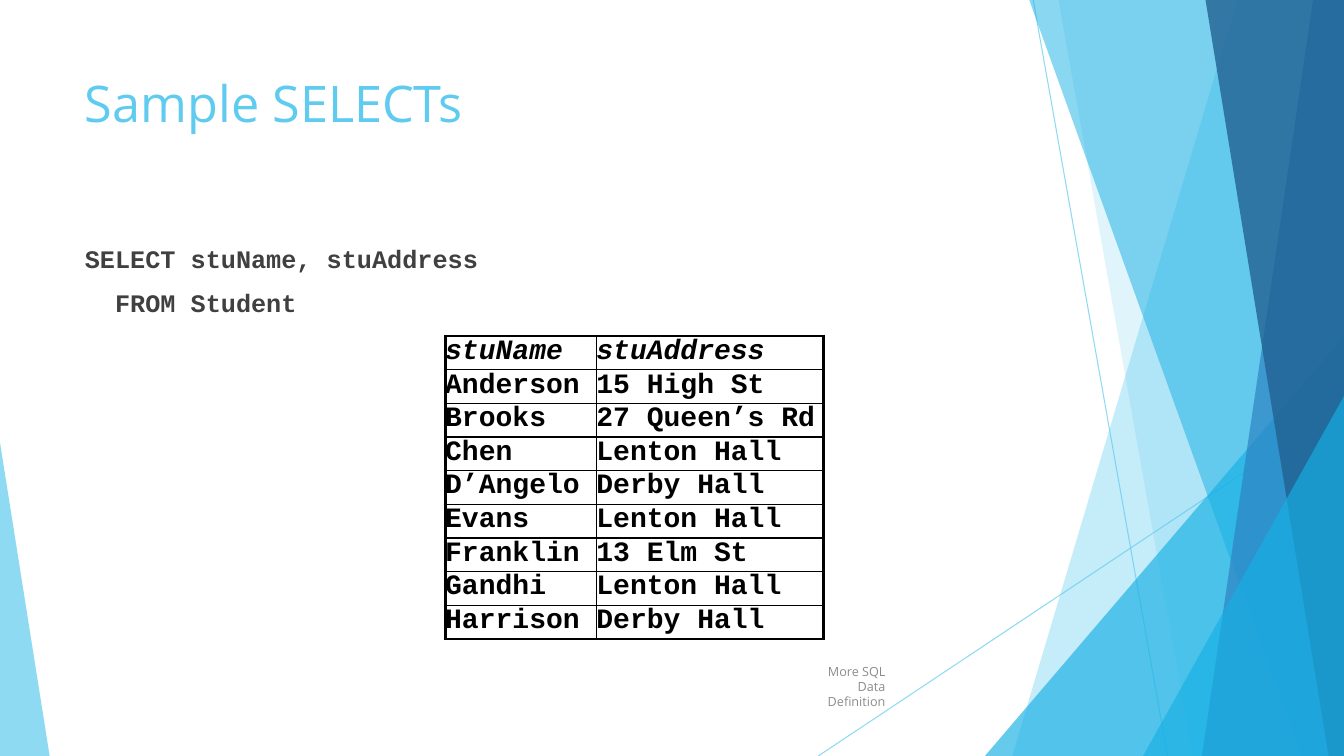
from typing import NamedTuple

from lxml import etree
from pptx import Presentation
from pptx import util as u
from pptx.dml.color import RGBColor
from pptx.enum import shapes, text
from pptx.oxml.ns import qn

Pt = u.Pt
WIDTH, HEIGHT = 960, 540
TOP = -0.6
SANS, MONO = "Open Sans", "Courier New"
COLORS = {
    "sky": "5FCBEF", "cyan": "17B0E4", "blue": "2E83C3", "navy": "226292",
    "body": "404040", "footer": "8C8C8C", "black": "000000",
}


class Ray(NamedTuple):
    x1: float
    y1: float
    x2: float
    y2: float


class Band(NamedTuple):
    """Area between a slanted left edge and the right side of the slide."""
    top_x: float
    bottom_x: float
    color: str
    alpha: int


class Corner(NamedTuple):
    """Right triangle standing on the bottom of the slide."""
    left: float
    top: float
    width: float
    apex: float
    color: str
    alpha: int


RAYS = [Ray(738, 0, 834, HEIGHT), Ray(WIDTH, 290, 584.5, HEIGHT)]
FACETS = [
    Band(884, 723, "sky", 36),
    Band(756, 852, "sky", 20),
    Corner(703.5, 240, 256.5, 1, "cyan", 66),
    Band(735, 929.5, "cyan", 50),
    Band(938, 858.5, "blue", 70),
    Band(861, 949, "navy", 80),
    Corner(816.5, 283, 143.5, 1, "cyan", 66),
    Corner(0, 316, 35.5, 0, "sky", 70),
]
STUDENTS = [
    ("stuName", "stuAddress"),
    ("Anderson", "15 High St"),
    ("Brooks", "27 Queen’s Rd"),
    ("Chen", "Lenton Hall"),
    ("D’Angelo", "Derby Hall"),
    ("Evans", "Lenton Hall"),
    ("Franklin", "13 Elm St"),
    ("Gandhi", "Lenton Hall"),
    ("Harrison", "Derby Hall"),
]
COL_WIDTHS = (108, 162)
ROW_HEIGHT = 24


def rgb(name: str) -> RGBColor:
    return RGBColor.from_string(COLORS[name])


def set_alpha(element, percent: int) -> None:
    color = next(element.iter(qn("a:srgbClr")))
    etree.SubElement(color, qn("a:alpha"), val=str(percent * 1000))


def place(sp, left: float, top: float, width: float, height: float) -> None:
    sp.left, sp.top, sp.width, sp.height = map(Pt, (left, top, width, height))


def set_font(p, name: str, size: float, color: str, bold: bool = False) -> None:
    p.font.name, p.font.size, p.font.bold = name, Pt(size), bold
    p.font.color.rgb = rgb(color)


def add_ray(s, ray: Ray) -> None:
    line = s.shapes.add_connector(shapes.MSO_CONNECTOR.STRAIGHT, *map(Pt, ray))
    line.line.width = Pt(0.75)
    line.line.color.rgb = rgb("sky")
    sp_pr = line._element.spPr
    set_alpha(sp_pr, 70)
    etree.SubElement(sp_pr, qn("a:effectLst"))


def add_facet(s, facet: Band | Corner) -> None:
    if isinstance(facet, Band):
        builder = s.shapes.build_freeform(Pt(facet.top_x), Pt(TOP))
        outline = [(WIDTH, TOP), (WIDTH, HEIGHT), (facet.bottom_x, HEIGHT)]
        builder.add_line_segments([(Pt(x), Pt(y)) for x, y in outline], close=True)
        sp = builder.convert_to_shape()
    else:
        box = (facet.left, facet.top, facet.width, HEIGHT - facet.top)
        sp = s.shapes.add_shape(shapes.MSO_SHAPE.ISOSCELES_TRIANGLE, *map(Pt, box))
        sp.adjustments[0] = facet.apex
    sp.shadow.inherit = False
    sp.line.fill.background()
    sp.fill.solid()
    sp.fill.fore_color.rgb = rgb(facet.color)
    set_alpha(sp._element.spPr, facet.alpha)


def add_text(s, box: tuple, lines: list[str]):
    tf = s.shapes.add_textbox(*map(Pt, box)).text_frame
    tf.word_wrap = True
    tf.text = "\n".join(lines)
    return tf


def set_borders(cell, widths: dict[str, float]) -> None:
    tc_pr = cell._tc.get_or_add_tcPr()
    for side, width in widths.items():
        ln = etree.SubElement(tc_pr, qn(f"a:ln{side}"), w=str(Pt(width)))
        fill = etree.SubElement(ln, qn("a:solidFill"))
        etree.SubElement(fill, qn("a:srgbClr"), val=COLORS["black"])


def add_student_table(s, left: float, top: float) -> None:
    last_row, last_col = len(STUDENTS) - 1, len(COL_WIDTHS) - 1
    size = (sum(COL_WIDTHS), ROW_HEIGHT * len(STUDENTS))
    table = s.shapes.add_table(last_row + 1, last_col + 1,
                               *map(Pt, (left, top, *size))).table
    table.first_row = table.horz_banding = False
    for column, width in zip(table.columns, COL_WIDTHS):
        column.width = Pt(width)
    for i, values in enumerate(STUDENTS):
        table.rows[i].height = Pt(ROW_HEIGHT)
        for j, value in enumerate(values):
            cell = table.cell(i, j)
            cell.margin_left = cell.margin_right = 0
            cell.margin_top = cell.margin_bottom = 0
            cell.text = value
            p = cell.text_frame.paragraphs[0]
            set_font(p, MONO, 20, "black", bold=True)
            p.font.italic = i == 0
            # Thick outer frame, thin inner grid
            outer = {"L": j == 0, "R": j == last_col, "T": i == 0, "B": i == last_row}
            set_borders(cell, {side: 2.25 if edge else 1 for side, edge in outer.items()})
            cell.fill.background()


prs = Presentation()
prs.slide_width, prs.slide_height = Pt(WIDTH), Pt(HEIGHT)
s = prs.slides.add_slide(prs.slide_layouts[5])

# Faceted background
for ray in RAYS:
    add_ray(s, ray)
for facet in FACETS:
    add_facet(s, facet)

# Footer
tf = add_text(s, (567.5, 476, 72, 29), ["More SQL Data Definition"])
tf.vertical_anchor = text.MSO_ANCHOR.MIDDLE
p = tf.paragraphs[0]
p.alignment = text.PP_ALIGN.RIGHT
set_font(p, SANS, 9, "footer")

# Title
title = s.shapes.title
place(title, 53.5, 48, 677, 104)
tf = title.text_frame
tf.text = "Sample SELECTs"
tf.vertical_anchor = text.MSO_ANCHOR.TOP
tf.auto_size = text.MSO_AUTO_SIZE.NONE
p = tf.paragraphs[0]
p.alignment = text.PP_ALIGN.LEFT
set_font(p, SANS, 36, "sky")

# Query, with its second line indented by two characters
tf = add_text(s, (53.5, 170, 677, 305), ["SELECT stuName, stuAddress", "FROM Student"])
for p in tf.paragraphs:
    p.space_before = Pt(10)
    set_font(p, MONO, 18, "body", bold=True)
tf.paragraphs[1]._p.get_or_add_pPr().set("marL", str(Pt(21.6)))

# Query result
add_student_table(s, 318, 240)

prs.save("out.pptx")
